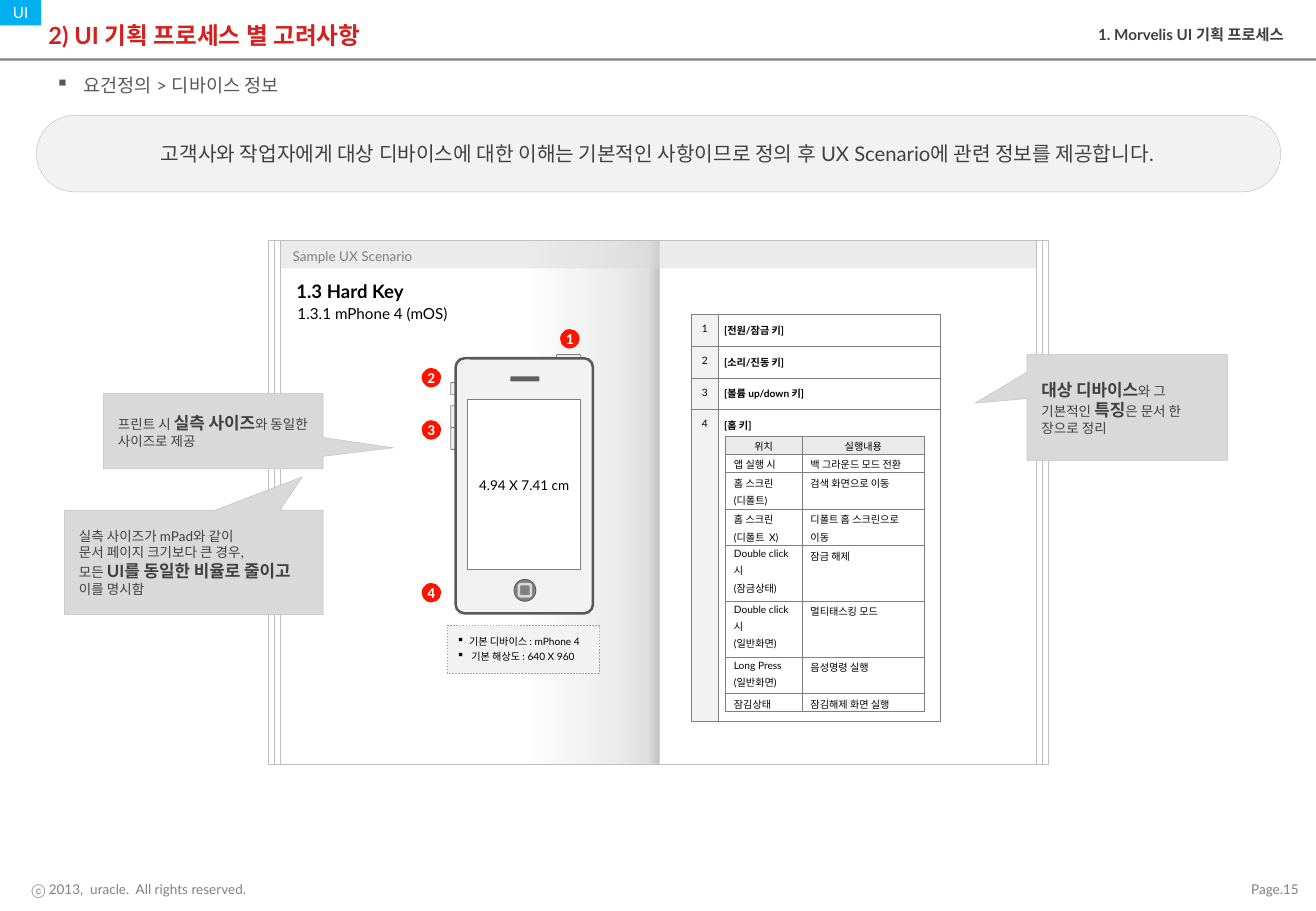
"""Build the device information slide of a UI planning guide."""
from dataclasses import dataclass
from typing import Any, Optional

from lxml.etree import SubElement
from pptx import Presentation
from pptx.dml.color import RGBColor
from pptx.enum.dml import MSO_LINE as Dash
from pptx.enum.shapes import MSO_SHAPE as Kind
from pptx.enum.text import MSO_ANCHOR as Anchor, PP_ALIGN as Align
from pptx.oxml import parse_xml
from pptx.oxml.ns import nsdecls, qn
from pptx.util import Inches, Pt

WHITE = RGBColor(0xFF, 0xFF, 0xFF)
BLACK = RGBColor(0, 0, 0)
PALE = RGBColor(0xF2, 0xF2, 0xF2)
HEAD = RGBColor(0xEA, 0xEA, 0xEA)
LIGHT = RGBColor(0xD9, 0xD9, 0xD9)
SILVER = RGBColor(0xBF, 0xBF, 0xBF)
DASHED = RGBColor(0xA6, 0xA6, 0xA6)
GRAY = RGBColor(0x80, 0x80, 0x80)
SPEAKER = RGBColor(0x5F, 0x5F, 0x5F)
SLATE = RGBColor(0x59, 0x59, 0x59)
DARK = RGBColor(0x40, 0x40, 0x40)
TITLE_RED = RGBColor(0xD5, 0x21, 0x1D)
BADGE_RED = RGBColor(0xFF, 0x13, 0x00)
SKY = RGBColor(0x00, 0xB0, 0xF0)

Box = tuple[float, float, float, float]


@dataclass(frozen=True)
class Span:
    text: str
    size: float = 8
    color: RGBColor = DARK
    bold: bool = False
    font: str = "Lato"


@dataclass(frozen=True)
class Para:
    spans: tuple[Span, ...]
    align: Align = Align.LEFT
    spacing: float = 1.0
    before: float = 0
    bullet: str = ""
    indent: float = 0


@dataclass(frozen=True)
class Panel:
    at: Box
    kind: Optional[Kind] = Kind.RECTANGLE
    fill: Optional[RGBColor] = None
    line: Optional[RGBColor] = None
    weight: float = 0.25
    paras: tuple[Para, ...] = ()
    adjust: tuple[float, ...] = ()
    anchor: Anchor = Anchor.MIDDLE
    insets: tuple[float, float] = (0.1, 0.05)
    wrap: bool = True
    dash: Optional[Dash] = None
    alpha: int = 100


@dataclass(frozen=True)
class Grid:
    at: tuple[float, float]
    columns: tuple[float, ...]
    rows: tuple[float, ...]
    weight: float
    insets: tuple[float, float]


def apply(target: Any, values: dict[str, Any]) -> None:
    for name, value in values.items():
        setattr(target, name, value)


def margins(insets: tuple[float, float]) -> dict[str, Any]:
    side, edge = map(Inches, insets)
    return {"margin_left": side, "margin_right": side, "margin_top": edge, "margin_bottom": edge}


def one(text: str, size: float = 8, color: RGBColor = DARK, bold: bool = False,
        font: str = "Lato", **layout: Any) -> Para:
    return Para((Span(text, size, color, bold, font),), **layout)


def write(frame: Any, paras: tuple[Para, ...]) -> None:
    for index, para in enumerate(paras):
        target = frame.add_paragraph() if index else frame.paragraphs[0]
        apply(target, {"alignment": para.align, "line_spacing": para.spacing,
                       "space_before": Pt(para.before)})
        if para.bullet:
            props = target._p.get_or_add_pPr()
            props.set("marL", str(Inches(para.indent)))
            props.set("indent", str(-Inches(para.indent)))
            SubElement(props, qn("a:buChar")).set("char", para.bullet)
        for span in para.spans:
            for row, text in enumerate(span.text.split("\n")):
                if row:
                    target.add_line_break()
                run = target.add_run()
                run.text = text
                apply(run.font, {"size": Pt(span.size), "bold": span.bold, "name": span.font})
                run.font.color.rgb = span.color


def draw(page: Any, panel: Panel) -> Any:
    place = map(Inches, panel.at)
    if panel.kind is None:
        box = page.shapes.add_textbox(*place)
    else:
        box = page.shapes.add_shape(panel.kind, *place)
        box.shadow.inherit = False
        for index, value in enumerate(panel.adjust):
            box.adjustments[index] = value
    for paint, color in ((box.fill, panel.fill), (box.line.fill, panel.line)):
        if color is None:
            paint.background()
        else:
            paint.solid()
            paint.fore_color.rgb = color
    if panel.line is not None:
        apply(box.line, {"width": Pt(panel.weight), "dash_style": panel.dash})
    if panel.alpha < 100:
        color = box._element.spPr.find(f"{qn('a:solidFill')}/{qn('a:srgbClr')}")
        SubElement(color, qn("a:alpha")).set("val", str(panel.alpha * 1000))
    if panel.paras:
        apply(box.text_frame, {"word_wrap": panel.wrap, "vertical_anchor": panel.anchor,
                               **margins(panel.insets)})
        write(box.text_frame, panel.paras)
    return box


def draw_spine(page: Any) -> None:
    spine = draw(page, Panel((2.31, 1.98, 3.12, 4.31)))
    stops = ((0, GRAY), (3, SILVER), (11, LIGHT), (35, WHITE))
    marks = "".join(f'<a:gs pos="{spot * 1000}"><a:srgbClr val="{color}"><a:alpha val="50000"/>'
                    f'</a:srgbClr></a:gs>' for spot, color in stops)
    props = spine._element.spPr
    props.replace(props.find(qn("a:noFill")), parse_xml(
        f'<a:gradFill {nsdecls("a")}><a:gsLst>{marks}</a:gsLst>'
        '<a:lin ang="10800000" scaled="0"/></a:gradFill>'))


def draw_grid(page: Any, grid: Grid, cells: list[list[tuple[tuple[Para, ...], RGBColor]]]) -> None:
    size = map(Inches, (*grid.at, sum(grid.columns), sum(grid.rows)))
    table = page.shapes.add_table(len(grid.rows), len(grid.columns), *size).table
    apply(table, {"first_row": False, "horz_banding": False})
    for column, width in zip(table.columns, grid.columns):
        column.width = Inches(width)
    for row, height, contents in zip(table.rows, grid.rows, cells):
        row.height = Inches(height)
        for cell, (paras, fill) in zip(row.cells, contents):
            apply(cell, {"vertical_anchor": Anchor.TOP, **margins(grid.insets)})
            for side in ("lnL", "lnR", "lnT", "lnB"):
                cell._tc.get_or_add_tcPr().append(parse_xml(
                    f'<a:{side} {nsdecls("a")} w="{Pt(grid.weight)}"><a:solidFill>'
                    f'<a:srgbClr val="{GRAY}"/></a:solidFill></a:{side}>'))
            cell.fill.solid()
            cell.fill.fore_color.rgb = fill
            write(cell.text_frame, paras)


FRAME = (
    Panel((0, 0.48, 10.83, 0.02), fill=GRAY),
    Panel((10.18, 7.21, 0.6, 0.22), None, paras=(one("Page.15", color=GRAY, align=Align.RIGHT),),
          insets=(0.09, 0.04), wrap=False),
    Panel((0.06, 7.21, 2.06, 0.22), None, insets=(0.09, 0.04), wrap=False,
          paras=(one("ⓒ 2013,  uracle.  All rights reserved.", color=GRAY, align=Align.RIGHT),)),
)
HEADINGS = (
    Panel((0.3, 0.95, 10.24, 0.63), Kind.ROUNDED_RECTANGLE, PALE, SILVER, adjust=(0.5,)),
    Panel((0, 0, 0.34, 0.21), fill=SKY, paras=(one("UI", 9, WHITE, align=Align.CENTER),),
          insets=(0.1, 0), wrap=False),
    Panel((0.51, 1.03, 9.8, 0.47), None, paras=(
        one("고객사와 작업자에게 대상 디바이스에 대한 이해는 기본적인 사항이므로 정의 후 "
            "UX Scenario에 관련 정보를 제공합니다.", 12, align=Align.CENTER),)),
    Panel((0.3, 0.08, 10.33, 0.41), None,
          paras=(one("2) UI 기획 프로세스 별 고려사항", 14, TITLE_RED, True),)),
    Panel((6.88, 0.16, 3.78, 0.28), None, anchor=Anchor.TOP,
          paras=(one("1. Morvelis UI 기획 프로세스", 9, bold=True, align=Align.RIGHT),)),
    Panel((0.36, 0.56, 9.39, 0.28), None,
          paras=(one("요건정의 > 디바이스 정보", 11, SLATE, bullet="▪", indent=0.23),)),
    Panel((2.34, 2.15, 2.03, 0.49), None, paras=(one("1.3 Hard Key", 11, BLACK, True),)),
    Panel((2.35, 2.46, 1.57, 0.31), None, anchor=Anchor.TOP,
          paras=(one("1.3.1 mPhone 4 (mOS)", 9, BLACK),)),
)
CALLOUTS = (
    ((8.45, 2.92, 1.65, 0.87), (-0.76, -0.04),
     ("", "대상 디바이스", "와 그 기본적인 ", "특징", "은 문서 한 장으로 정리")),
    ((0.85, 3.24, 1.81, 0.62), (0.82, 0.22), ("프린트 시 ", "실측 사이즈", "와 동일한 사이즈로 제공")),
    ((0.53, 4.2, 2.13, 0.86), (0.42, -0.82),
     ("실측 사이즈가 mPad와 같이 \n문서 페이지 크기보다 큰 경우, \n모든 ",
      "UI를 동일한 비율로 줄이고", " 이를 명시함")),
)
BADGES = ((4.61, 2.71), (3.47, 3.03), (3.47, 3.46), (3.47, 4.8))
BUTTONS = ((4.58, 2.92, 0.2, 0.04), (3.71, 3.15, 0.04, 0.1),
           (3.71, 3.52, 0.04, 0.18), (3.71, 3.34, 0.04, 0.18))
PHONE = (
    Panel((3.75, 2.95, 1.13, 2.1), Kind.ROUNDED_RECTANGLE, PALE, SLATE, 1.5, adjust=(0.065,)),
    Panel((4.2, 3.1, 0.24, 0.04), Kind.ROUNDED_RECTANGLE, SPEAKER),
    Panel((3.85, 3.29, 0.93, 1.4), fill=WHITE, line=GRAY, weight=0.5, wrap=False,
          paras=(one("4.94 X 7.41 cm", color=BLACK, align=Align.CENTER),)),
    Panel((4.23, 4.77, 0.18, 0.18), Kind.OVAL, GRAY, SLATE, 0.5),
    Panel((4.27, 4.81, 0.1, 0.1), Kind.ROUNDED_RECTANGLE, GRAY, LIGHT, 1.5),
    Panel((3.68, 5.15, 1.25, 0.39), fill=PALE, line=DASHED, dash=Dash.DASH, anchor=Anchor.TOP,
          insets=(0.08, 0.08), paras=(
              one("기본 디바이스 : mPhone 4", 6, BLACK, bullet="▪", indent=0.1),
              one(" 기본 해상도 : 640 X 960", 6, BLACK, bullet="▪", indent=0.1, before=1.8))),
)
KEYS = ("[전원/잠금 키]", "[소리/진동 키]", "[볼륨 up/down 키]", "[홈 키]")
ACTIONS = (
    ("위치", "실행내용"), ("앱 실행 시", "백 그라운드 모드 전환"),
    ("홈 스크린\n(디폴트)", "검색 화면으로 이동"), ("홈 스크린\n(디폴트  X)", "디폴트 홈 스크린으로 이동"),
    ("Double click시\n(잠금상태)", "잠금 해제"), ("Double click시\n(일반화면)", "멀티태스킹 모드"),
    ("Long Press\n(일반화면)", "음성명령 실행"), ("잠김상태", "잠김해제 화면 실행"),
)
KEY_GRID = Grid((5.69, 2.59), (0.22, 1.83), (0.26, 0.26, 0.26, 2.57), 0.25, (0.05, 0.07))
ACTION_GRID = Grid((5.97, 3.59), (0.63, 1.01), (0.15, 0.15, 0.3, 0.3, 0.46, 0.46, 0.3, 0.15),
                   0.5, (0.07, 0))


def main() -> None:
    deck = Presentation()
    apply(deck, {"slide_width": Inches(10.83), "slide_height": Inches(7.5)})
    page = deck.slides.add_slide(deck.slide_layouts[6])
    for panel in FRAME:
        draw(page, panel)
    draw_spine(page)
    draw(page, Panel((2.31, 1.98, 6.22, 0.23), fill=LIGHT, alpha=50,
                     paras=(one("Sample UX Scenario", color=GRAY, spacing=1.2),)))
    for step in range(3):
        draw(page, Panel((2.31 - step * 0.05, 1.98, 6.22 + step * 0.1, 4.31), line=SILVER))
    for panel in HEADINGS:
        draw(page, panel)
    draw_grid(page, KEY_GRID, [
        [((one(str(number), 6, BLACK, align=Align.CENTER),), PALE),
         ((one(key, 6, BLACK, True),), WHITE)] for number, key in enumerate(KEYS, 1)])
    draw_grid(page, ACTION_GRID, [
        [(tuple(one(text, 6, BLACK, spacing=1.2, align=Align.LEFT if row else Align.CENTER)
                for text in entry.split("\n")), WHITE if row else HEAD) for entry in entries]
        for row, entries in enumerate(ACTIONS)])
    for at, tip, texts in CALLOUTS:
        spans = tuple(Span(text, 10 if index % 2 else 8, bold=index % 2 == 1)
                      for index, text in enumerate(texts) if text)
        draw(page, Panel(at, Kind.RECTANGULAR_CALLOUT, LIGHT, SILVER, adjust=tip,
                         paras=(Para(spans),), insets=(0.12, 0.05)))
    for number, (left, top) in enumerate(BADGES, 1):
        label = one(str(number), 9, WHITE, True, "Calibri", align=Align.CENTER)
        draw(page, Panel((left, top, 0.16, 0.16), Kind.OVAL, BADGE_RED, paras=(label,),
                         insets=(0, 0), wrap=False))
    for at in BUTTONS:
        draw(page, Panel(at, Kind.ROUNDED_RECTANGLE, PALE, GRAY, 0.5))
    for panel in PHONE:
        draw(page, panel)
    deck.save("out.pptx")


if __name__ == "__main__":
    main()
